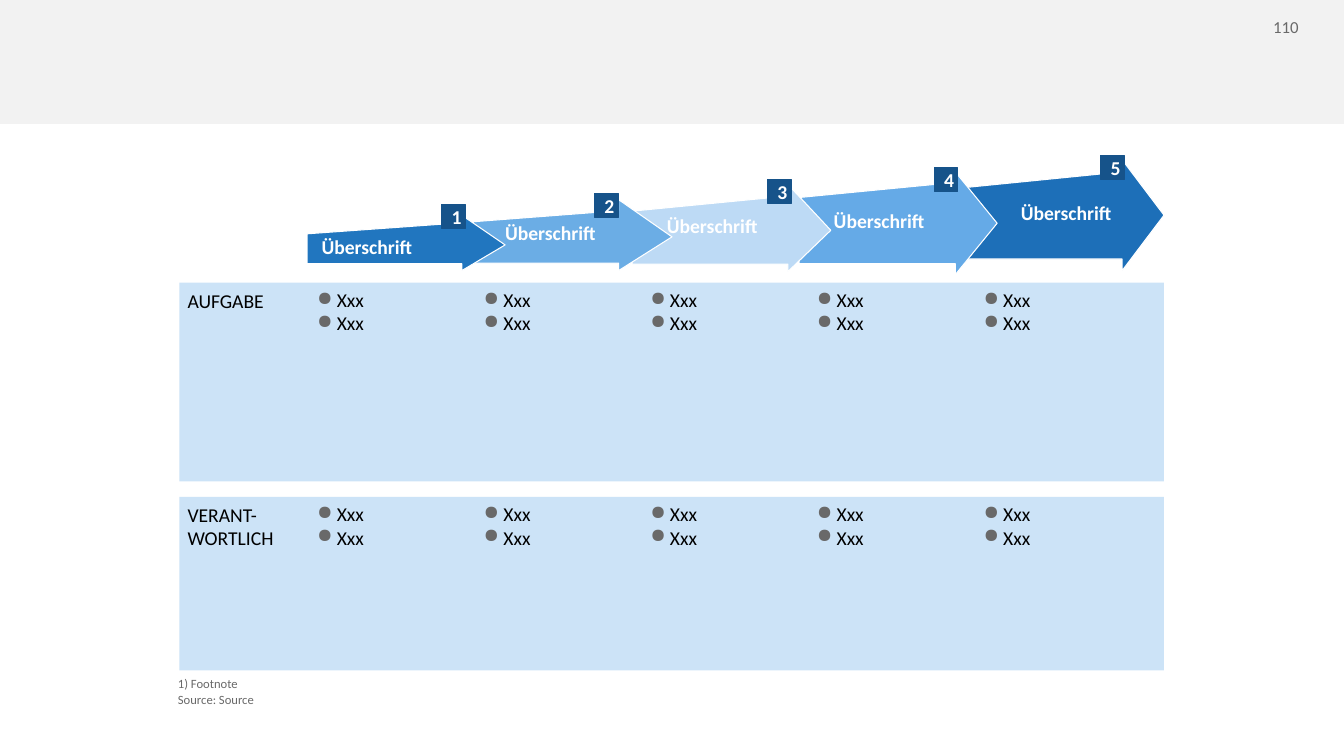
from dataclasses import dataclass

import pptx
import pptx.dml.color
import pptx.enum.shapes
import pptx.enum.text
import pptx.oxml
import pptx.oxml.ns
import pptx.util

Inches = pptx.util.Inches
Pt = pptx.util.Pt
Align = pptx.enum.text.PP_ALIGN
Anchor = pptx.enum.text.MSO_ANCHOR

COLORS = {
    "header": "F2F2F2",
    "band": "CCE3F7",
    "badge": "16538A",
    "white": "FFFFFF",
    "black": "000000",
    "grey": "696969",
}
FONT = "Calibri"
BODY_SIZE = 28
BULLET_INDENT = 0.39
BADGE_SIZE = 0.47
COLUMN_LEFT, COLUMN_PITCH, COLUMN_WIDTH = 6.09, 3.305, 3.15
BAND_LEFT, BAND_WIDTH = 3.56, 19.53
WIDE_INSETS = (0.2, 0.1, 0.2, 0.1)


@dataclass(frozen=True)
class Stage:
    """An arrow with its heading; the tail is its left edge, the neck where its head begins."""
    color: str
    tail: float
    neck: float
    tip: float
    tail_top: float
    neck_top: float
    head_top: float
    tip_y: float
    shaft_bottom: float
    head_bottom: float
    heading_indent: float
    badge_left: float
    badge_top: float
    anchor: Anchor = Anchor.MIDDLE
    bottom_inset: float = 0.1


@dataclass(frozen=True)
class Band:
    label_lines: tuple[str, ...]
    top: float
    height: float
    column_height: float


STAGES = [
    Stage("2176BF", 6.09, 9.16, 10.02, 4.64, 4.42, 4.27, 4.86, 5.23, 5.37,
          0.19, 8.76, 4.06, Anchor.BOTTOM, 0.24),
    Stage("6BADE5", 9.39, 12.27, 13.33, 4.4, 4.18, 3.96, 4.7, 5.22, 5.37, 0.53, 11.79, 3.84),
    Stage("BDDAF5", 12.54, 15.63, 16.48, 4.19, 3.89, 3.66, 4.57, 5.24, 5.39, 0.59, 15.22, 3.56),
    Stage("65AAE7", 15.85, 18.95, 19.78, 3.92, 3.62, 3.41, 4.43, 5.23, 5.45, 0.59, 18.53, 3.33),
    Stage("1D6FB8", 19.16, 22.26, 23.09, 3.72, 3.41, 3.17, 4.27, 5.14, 5.37, 0.99, 21.83, 3.09),
]
BANDS = [
    Band(("AUFGABE",), 5.61, 3.94, 3.94),
    Band(("VERANT-", "WORTLICH"), 9.86, 3.44, 3.46),
]


def rgb(color: str) -> pptx.dml.color.RGBColor:
    return pptx.dml.color.RGBColor.from_string(color)


def paint(shape, fill: str, line: str | None = None, line_width: float = 1) -> None:
    shape.shadow.inherit = False
    shape.fill.solid()
    shape.fill.fore_color.rgb = rgb(fill)
    if line is None:
        shape.line.fill.background()
    else:
        shape.line.color.rgb = rgb(line)
        shape.line.width = Pt(line_width)


def set_frame(frame, insets: tuple[float, ...], anchor: Anchor = Anchor.TOP,
              wrap: bool = True) -> None:
    frame.margin_left, frame.margin_top, frame.margin_right, frame.margin_bottom = map(
        Inches, insets)
    frame.vertical_anchor = anchor
    frame.word_wrap = wrap


def add_run(paragraph, text: str, color: str, size: float = BODY_SIZE, bold: bool = False) -> None:
    run = paragraph.add_run()
    run.text = text
    run.font.name = FONT
    run.font.size = Pt(size)
    run.font.bold = bold
    run.font.color.rgb = rgb(color)


def add_rectangle(slide, left: float, top: float, width: float, height: float,
                  fill: str, line: str | None = None):
    rectangle = slide.shapes.add_shape(
        pptx.enum.shapes.MSO_SHAPE.RECTANGLE,
        Inches(left), Inches(top), Inches(width), Inches(height))
    paint(rectangle, fill, line)
    return rectangle


def add_text(slide, left: float, top: float, width: float, height: float,
             anchor: Anchor = Anchor.TOP):
    frame = slide.shapes.add_textbox(
        Inches(left), Inches(top), Inches(width), Inches(height)).text_frame
    set_frame(frame, WIDE_INSETS, anchor)
    return frame


def next_paragraph(frame, index: int):
    return frame.paragraphs[0] if index == 0 else frame.add_paragraph()


def set_indent(paragraph, left: float, first_line: float = 0) -> None:
    properties = paragraph._p.get_or_add_pPr()
    properties.set("marL", str(Inches(left)))
    properties.set("indent", str(Inches(first_line)))


def add_bullet(paragraph) -> None:
    set_indent(paragraph, BULLET_INDENT, -BULLET_INDENT)
    properties = paragraph._p.get_or_add_pPr()
    namespace = pptx.oxml.ns.nsdecls("a")
    for element in (
        f'<a:buClr {namespace}><a:srgbClr val="{COLORS["grey"]}"/></a:buClr>',
        f'<a:buChar {namespace} char="●"/>',
    ):
        properties.append(pptx.oxml.parse_xml(element))


def draw_arrow(slide, stage: Stage) -> None:
    outline = [
        (stage.tail, stage.tail_top), (stage.neck, stage.neck_top),
        (stage.neck, stage.head_top), (stage.tip, stage.tip_y),
        (stage.neck, stage.head_bottom), (stage.neck, stage.shaft_bottom),
        (stage.tail, stage.shaft_bottom),
    ]
    corners = [(Inches(x), Inches(y)) for x, y in outline]
    builder = slide.shapes.build_freeform(*corners[0])
    builder.add_line_segments(corners[1:], close=True)
    arrow = builder.convert_to_shape()
    paint(arrow, stage.color, COLORS["white"], 1.5)
    set_frame(arrow.text_frame, (0.1, 0.05, 0.1, stage.bottom_inset), stage.anchor)
    heading = arrow.text_frame.paragraphs[0]
    heading.alignment = Align.LEFT
    heading.line_spacing = 0.95
    set_indent(heading, stage.heading_indent)
    add_run(heading, "Überschrift", COLORS["white"], bold=True)


def draw_badge(slide, stage: Stage, number: int) -> None:
    badge = add_rectangle(slide, stage.badge_left, stage.badge_top, BADGE_SIZE, BADGE_SIZE,
                          COLORS["badge"], COLORS["badge"])
    set_frame(badge.text_frame, WIDE_INSETS, Anchor.MIDDLE)
    label = badge.text_frame.paragraphs[0]
    label.alignment = Align.CENTER
    add_run(label, str(number), COLORS["white"], bold=True)


def draw_band(slide, band: Band) -> None:
    background = add_rectangle(slide, BAND_LEFT, band.top, BAND_WIDTH, band.height, COLORS["band"])
    set_frame(background.text_frame, (0.16,) * 4, wrap=False)
    label = background.text_frame.paragraphs[0]
    label.alignment = Align.LEFT
    label.line_spacing = 0.95
    for index, line in enumerate(band.label_lines):
        if index:
            label.add_line_break()
        add_run(label, line, COLORS["black"])


def draw_columns(slide, band: Band) -> None:
    for column in range(len(STAGES)):
        frame = add_text(slide, COLUMN_LEFT + column * COLUMN_PITCH, band.top,
                         COLUMN_WIDTH, band.column_height)
        for index in range(2):
            item = next_paragraph(frame, index)
            item.level = 1
            add_bullet(item)
            add_run(item, "Xxx", COLORS["black"])


def main() -> None:
    presentation = pptx.Presentation()
    presentation.slide_width = Inches(26.66)
    presentation.slide_height = Inches(15)
    slide = presentation.slides.add_slide(presentation.slide_layouts[6])

    add_rectangle(slide, -0.17, 0, 27.02, 2.46, COLORS["header"])
    page_number = add_text(slide, 24.68, 0.24, 1.28, 0.61).paragraphs[0]
    page_number.alignment = Align.RIGHT
    add_run(page_number, "110", COLORS["grey"], 24)

    for stage in reversed(STAGES):
        draw_arrow(slide, stage)
    for band in BANDS:
        draw_band(slide, band)
    footnotes = add_text(slide, 3.33, 13.31, 19.98, 0.81, Anchor.BOTTOM)
    for index, note in enumerate(("1) Footnote", "Source: Source")):
        add_run(next_paragraph(footnotes, index), note, COLORS["grey"], 18)
    for band in BANDS:
        draw_columns(slide, band)
    for number, stage in enumerate(STAGES, start=1):
        draw_badge(slide, stage, number)

    presentation.save("out.pptx")


if __name__ == "__main__":
    main()
